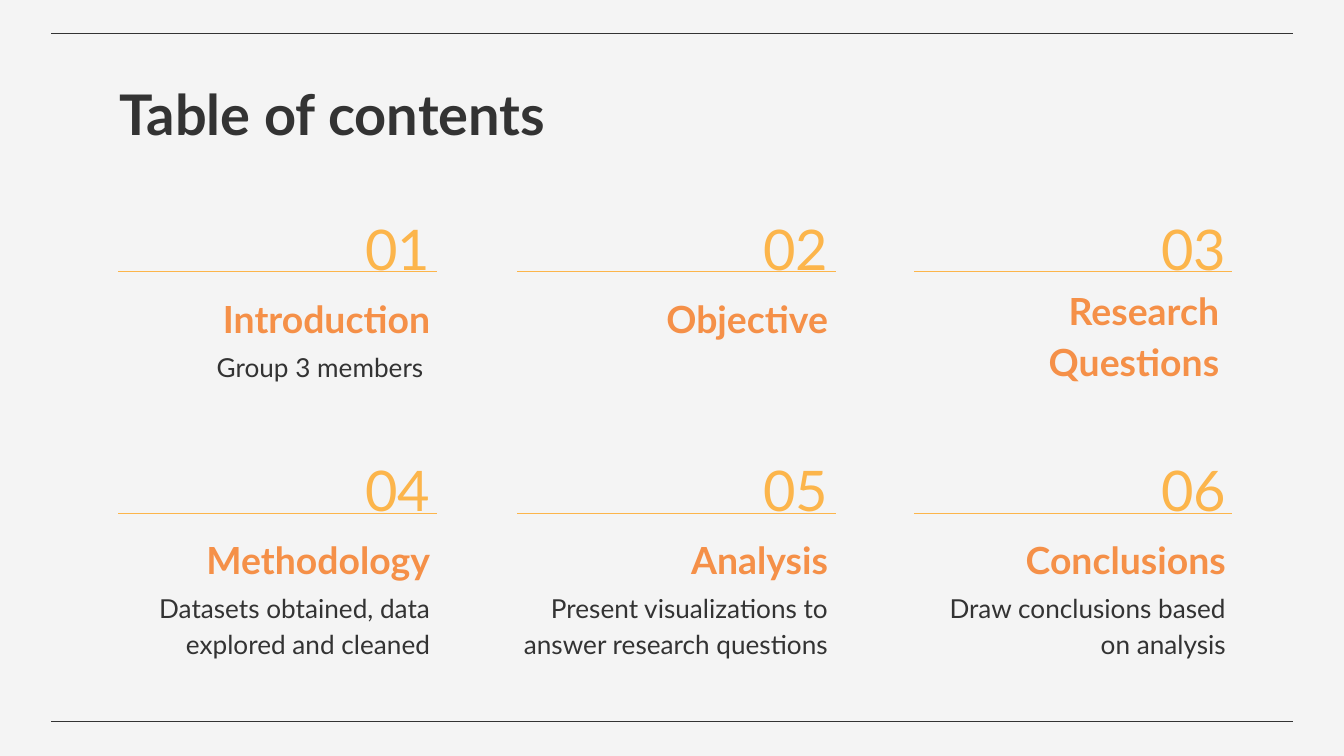
from lxml import etree
from pptx import Presentation
from pptx.dml.color import RGBColor
from pptx.enum.shapes import MSO_CONNECTOR as CONN
from pptx.enum.text import MSO_ANCHOR as ANCHOR, PP_ALIGN as ALIGN
from pptx.oxml.ns import qn
from pptx.util import Inches, Pt

COLORS = {
    "paper": "F4F4F4",
    "ink": "333333",
    "amber": "FCB54B",
    "orange": "F59048",
}
FONT = "Lato"
COLUMNS = (0.78, 3.74, 6.7)
RULE_STARTS = (0.88, 3.85, 6.8)
ROWS = (1.51, 3.3)
RULE_YS = (2.02, 3.82)
TEXT_W = 2.52
SECTIONS = [
    ("Introduction", "Group 3 members "),
    ("Objective", ""),
    ("Research Questions", ""),
    ("Methodology", "Datasets obtained, data explored and cleaned"),
    ("Analysis", "Present visualizations to answer research questions"),
    ("Conclusions", "Draw conclusions based on analysis"),
]


class Deck:
    """Holds the shared style and the slide being filled."""

    def __init__(self):
        self.prs = Presentation()
        self.prs.slide_width = Inches(10)
        self.prs.slide_height = Inches(10) * 9 // 16
        self.slide = self.prs.slides.add_slide(self.prs.slide_layouts[6])
        fill = self.slide.background.fill
        fill.solid()
        fill.fore_color.rgb = self.color("paper")

    def color(self, name):
        return RGBColor.from_string(COLORS[name])

    def rule(self, x, y, w, color):
        """Draw a horizontal line without a shadow."""
        sp = self.slide.shapes.add_connector(
            CONN.STRAIGHT, Inches(x), Inches(y), Inches(x + w), Inches(y))
        sp.line.color.rgb = self.color(color)
        sp.line.width = Pt(0.75)
        etree.SubElement(sp._element.spPr, qn("a:effectLst"))

    def text(self, words, x, y, w, h, size, color, bold=False,
             align=ALIGN.RIGHT, anchor=ANCHOR.TOP, spacing=1.15):
        sp = self.slide.shapes.add_textbox(
            Inches(x), Inches(y), Inches(w), Inches(h))
        tf = sp.text_frame
        tf.word_wrap = True
        tf.vertical_anchor = anchor
        tf.margin_left = tf.margin_right = Inches(0.1)
        tf.margin_top = tf.margin_bottom = Inches(0.1)
        p = tf.paragraphs[0]
        p.alignment = align
        p.line_spacing = spacing
        r = p.add_run()
        r.text = words
        r.font.name = FONT
        r.font.size = Pt(size)
        r.font.bold = bold
        r.font.color.rgb = self.color(color)

    def section(self, number, heading, detail):
        """Place a numbered entry in the three-column grid."""
        row, col = divmod(number - 1, len(COLUMNS))
        x, y = COLUMNS[col], ROWS[row]
        self.text(f"{number:02}", x + 1.53, y, 0.99, 0.6, 30, "amber",
                  anchor=ANCHOR.MIDDLE)
        # The two-line heading sits lower and slightly to the left
        dx, dy = (-0.05, 0.95) if heading == "Research Questions" else (0, 0.63)
        self.text(heading, x + dx, y + dy, TEXT_W, 0.5, 20, "orange",
                  bold=True, anchor=ANCHOR.BOTTOM)
        if detail:
            self.text(detail, x, y + 0.97, TEXT_W, 0.6, 14, "ink")
        self.rule(RULE_STARTS[col], RULE_YS[row], 2.37, "amber")


def main():
    deck = Deck()
    for y in (0.25, 5.37):
        deck.rule(0.38, y, 9.24, "ink")
    deck.text("Table of contents", 0.79, 0.49, 8.43, 0.63, 30, "ink",
              bold=True, align=ALIGN.LEFT, spacing=1.0)
    for number, (heading, detail) in enumerate(SECTIONS, 1):
        deck.section(number, heading, detail)
    deck.prs.save("out.pptx")


if __name__ == "__main__":
    main()
